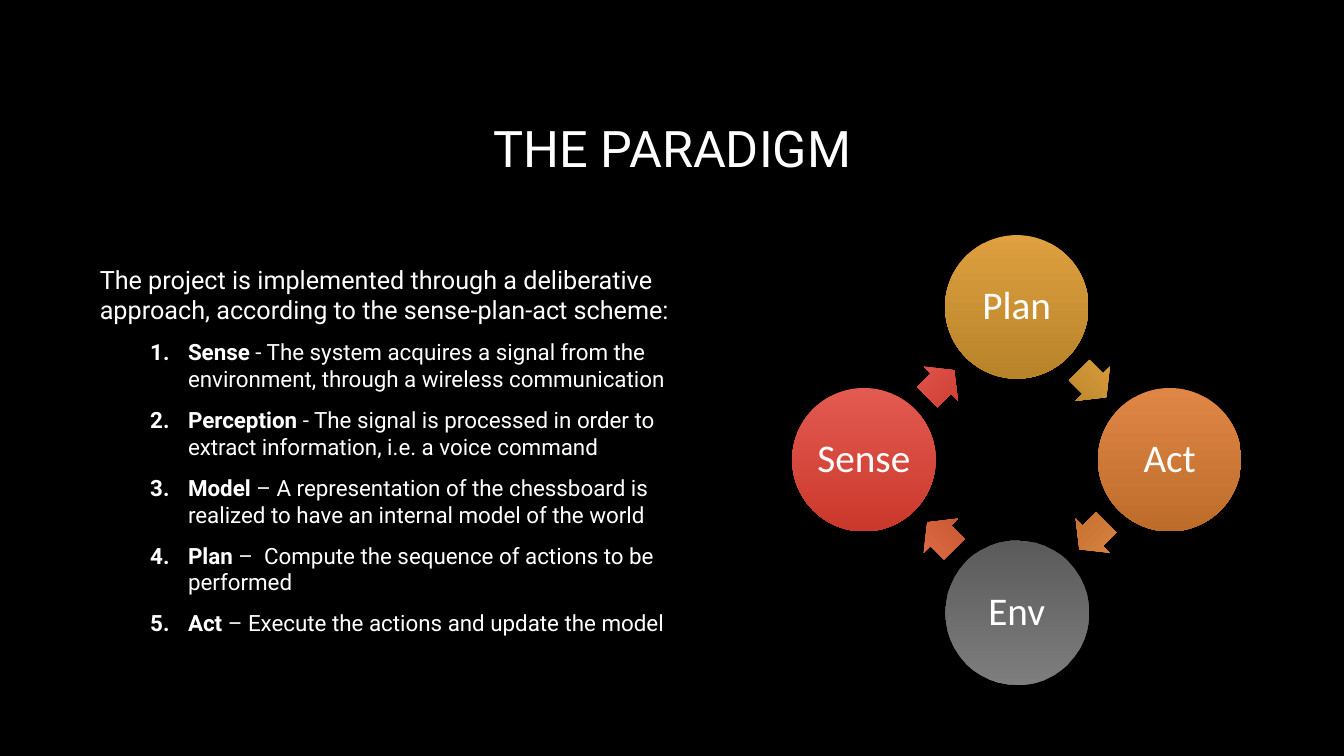
from dataclasses import dataclass
from math import cos, radians, sin

from lxml.etree import SubElement
from pptx import Presentation
from pptx.dml.color import RGBColor
from pptx.enum.shapes import MSO_SHAPE
from pptx.enum.text import MSO_ANCHOR, MSO_AUTO_SIZE, PP_ALIGN
from pptx.oxml.ns import qn
from pptx.util import Pt


@dataclass(frozen=True)
class Theme:
    background: str = "000000"
    text: str = "FFFFFF"
    gold: tuple = ("DEA040", "B88329")
    orange: tuple = ("DF8646", "BE6C2A")
    grey: tuple = ("808080", "808080")
    coral: tuple = ("E16F4B", "C5532B")
    red: tuple = ("E35A51", "CB382C")
    font: str = "Roboto"
    diagram_font: str = "Calibri"
    title_size: int = 36
    intro_size: int = 18
    item_size: int = 16
    node_size: int = 28


THEME = Theme()

INTRO = ("The project is implemented through a deliberative approach, "
         "according to the sense-plan-act scheme:")
STEPS = [
    ("Sense", " - The system acquires a signal from the environment, "
              "through a wireless communication"),
    ("Perception", " - The signal is processed in order to extract "
                   "information, i.e. a voice command"),
    ("Model ", "– A representation of the chessboard is realized to have "
               "an internal model of the world"),
    ("Plan ", "–  Compute the sequence of actions to be performed"),
    ("Act ", "– Execute the actions and update the model"),
]

# Clockwise from the top: label, node colours, opacity of the top colour,
# colours of the arrow that leaves the node
CYCLE = [
    ("Plan", THEME.gold, 100, THEME.gold),
    ("Act", THEME.orange, 100, THEME.orange),
    ("Env", THEME.grey, 71, THEME.coral),
    ("Sense", THEME.red, 100, THEME.red),
]
CENTER_X, CENTER_Y = 726.3, 328.4
NODE_RADIUS, NODE_SIZE = 109.2, 102.5
ARROW_RADIUS, ARROW_W, ARROW_H = 76.8, 27.3, 34.6


def add_text(p, text, size, font=THEME.font, bold=False, color=THEME.text):
    r = p.add_run()
    r.text = text
    r.font.name = font
    r.font.size = Pt(size)
    r.font.bold = bold
    r.font.color.rgb = RGBColor.from_string(color)


def place(sp, left, top, width, height):
    sp.left, sp.top = Pt(left), Pt(top)
    sp.width, sp.height = Pt(width), Pt(height)


def set_indent(p, left, first, numbered=False):
    pPr = p._p.get_or_add_pPr()
    pPr.set("marL", str(Pt(left)))
    pPr.set("indent", str(Pt(first)))
    if numbered:
        color = SubElement(pPr, qn("a:buClr"))
        SubElement(color, qn("a:srgbClr"), val=THEME.text)
        SubElement(pPr, qn("a:buFont"), typeface=THEME.font)
        SubElement(pPr, qn("a:buAutoNum"), type="arabicPeriod")
    else:
        SubElement(pPr, qn("a:buNone"))


def add_title(s, text):
    sp = s.shapes.title
    place(sp, 81.4, 48.2, 797.8, 114.5)
    tf = sp.text_frame
    tf.vertical_anchor = MSO_ANCHOR.MIDDLE
    tf.auto_size = MSO_AUTO_SIZE.NONE
    p = tf.paragraphs[0]
    p.alignment = PP_ALIGN.CENTER
    add_text(p, text, THEME.title_size)


def add_steps(s, intro, steps):
    sp = s.placeholders[1]
    place(sp, 64.1, 185, 423.4, 287.3)
    tf = sp.text_frame
    tf.vertical_anchor = MSO_ANCHOR.TOP
    tf.auto_size = MSO_AUTO_SIZE.NONE
    paragraphs = [tf.paragraphs[0]] + [tf.add_paragraph() for _ in steps]
    for p in paragraphs:
        p.space_before, p.space_after = Pt(0), Pt(10)
    set_indent(paragraphs[0], 0, 0)
    add_text(paragraphs[0], intro, THEME.intro_size)
    for p, (name, description) in zip(paragraphs[1:], steps):
        p.level = 1
        set_indent(p, 63, -27, numbered=True)
        add_text(p, name, THEME.item_size, bold=True)
        add_text(p, description, THEME.item_size)


def add_polar_shape(s, kind, angle, radius, width, height, colors, opacity=100):
    """Add a gradient shape centred at a clockwise angle from the cycle's top."""
    x = CENTER_X + radius * sin(radians(angle))
    y = CENTER_Y - radius * cos(radians(angle))
    sp = s.shapes.add_shape(kind, Pt(x - width / 2), Pt(y - height / 2),
                            Pt(width), Pt(height))
    sp.shadow.inherit = False
    sp.line.fill.background()
    sp.fill.gradient()
    sp.fill.gradient_angle = 270
    for stop, color in zip(sp.fill.gradient_stops, colors):
        stop.color.rgb = RGBColor.from_string(color)
    if opacity < 100:
        top_color = sp._element.spPr.find(".//" + qn("a:srgbClr"))
        SubElement(top_color, qn("a:alpha"), val=str(opacity * 1000))
    return sp


def add_node(s, label, angle, colors, opacity):
    sp = add_polar_shape(s, MSO_SHAPE.OVAL, angle, NODE_RADIUS,
                         NODE_SIZE, NODE_SIZE, colors, opacity)
    tf = sp.text_frame
    tf.word_wrap = False
    tf.vertical_anchor = MSO_ANCHOR.MIDDLE
    tf.margin_left = tf.margin_right = tf.margin_top = tf.margin_bottom = Pt(2.8)
    p = tf.paragraphs[0]
    p.alignment = PP_ALIGN.CENTER
    p.line_spacing = 0.9
    add_text(p, label, THEME.node_size, font=THEME.diagram_font)


def add_arrow(s, angle, colors):
    sp = add_polar_shape(s, MSO_SHAPE.RIGHT_ARROW, angle, ARROW_RADIUS,
                         ARROW_W, ARROW_H, colors)
    sp.rotation = angle
    sp.adjustments[0], sp.adjustments[1] = 0.6, 0.5


def add_cycle(s, cycle):
    step = 360 / len(cycle)
    for i, (label, colors, opacity, arrow_colors) in enumerate(cycle):
        add_node(s, label, i * step, colors, opacity)
        add_arrow(s, (i + 0.5) * step, arrow_colors)


def main():
    prs = Presentation()
    prs.slide_width, prs.slide_height = Pt(960), Pt(540)
    s = prs.slides.add_slide(prs.slide_layouts[1])
    s.background.fill.solid()
    s.background.fill.fore_color.rgb = RGBColor.from_string(THEME.background)
    add_title(s, "THE PARADIGM")
    add_steps(s, INTRO, STEPS)
    add_cycle(s, CYCLE)
    prs.save("out.pptx")


if __name__ == "__main__":
    main()
